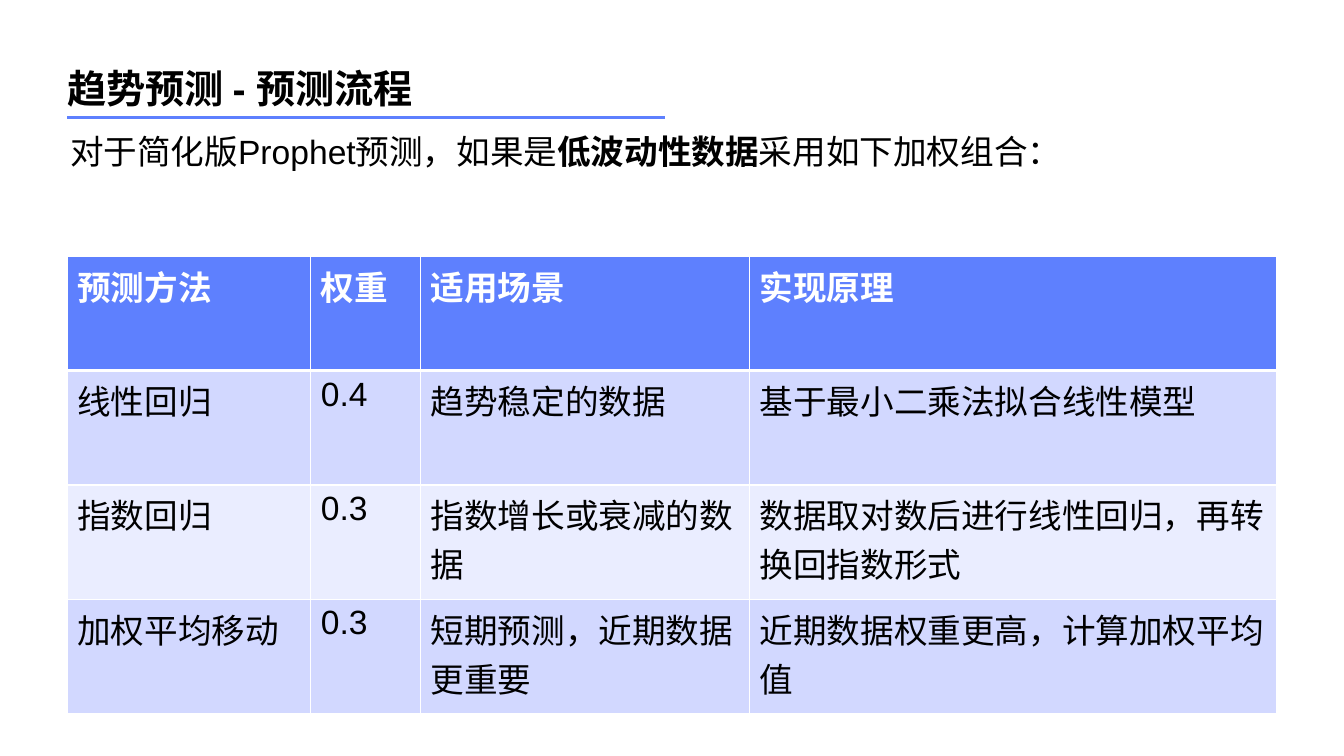
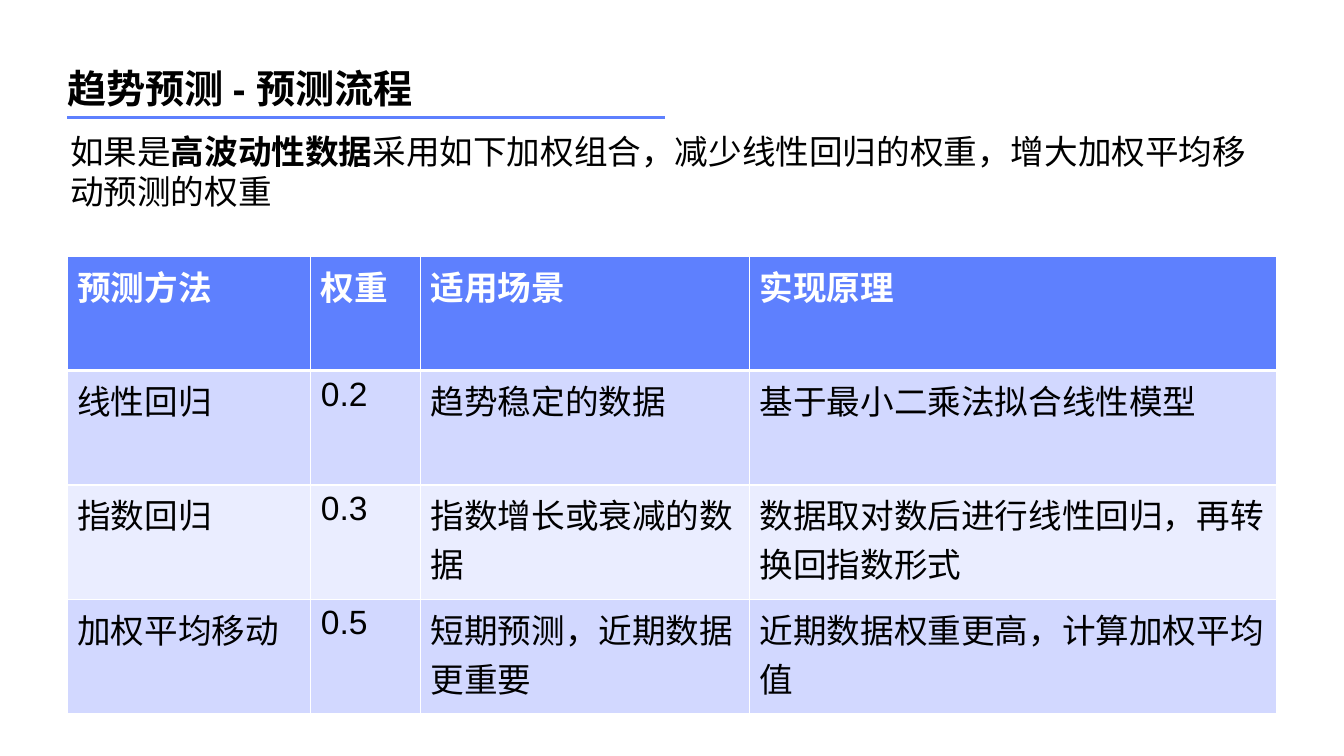
"""Two slides comparing forecast weights for low- and high-volatility data."""
from lxml.etree import SubElement
from pptx import Presentation
from pptx.dml.color import RGBColor
from pptx.enum.shapes import MSO_CONNECTOR
from pptx.enum.text import MSO_ANCHOR, PP_ALIGN
from pptx.oxml.ns import qn
from pptx.util import Pt

TITLE = "趋势预测 - 预测流程"
HEADER = ("预测方法", "权重", "适用场景", "实现原理")
METHODS = [
    ("线性回归", "趋势稳定的数据", "基于最小二乘法拟合线性模型"),
    ("指数回归", "指数增长或衰减的数据", "数据取对数后进行线性回归，再转换回指数形式"),
    ("加权平均移动", "短期预测，近期数据更重要", "近期数据权重更高，计算加权平均值"),
]
SLIDES = [
    {
        "intro": [("对于简化版Prophet预测，如果是", False), ("低波动性数据", True),
                  ("采用如下加权组合：", False)],
        "align": PP_ALIGN.JUSTIFY,
        "height": 36,
        "weights": ("0.4", "0.3", "0.3"),
    },
    {
        "intro": [("如果是", False), ("高波动性数据", True),
                  ("采用如下加权组合，减少线性回归的权重，增大加权平均移动预测的权重", False)],
        "align": PP_ALIGN.LEFT,
        "height": 65.5,
        "weights": ("0.2", "0.3", "0.5"),
    },
]

BLUE, BLACK, WHITE = "5E80FE", "000000", "FFFFFF"
BANDS = ("D2D8FF", "EAEDFF")
LEFT = 48
COLUMNS = (174, 78.5, 235, 376.5)
TABLE_TOP, ROW_HEIGHT = 183, 81.7
TITLE_FONT = {"name": "Arial", "size": Pt(28), "bold": True}
BODY_FONT = {"name": "Arial", "size": Pt(24), "bold": False}
HEADER_FONT = {**BODY_FONT, "bold": True}
NO_MARGINS = dict.fromkeys(("margin_left", "margin_top", "margin_right", "margin_bottom"), 0)


def rgb(color):
    return RGBColor.from_string(color)


def apply(target, values):
    for name, value in values.items():
        setattr(target, name, value)


def add_span(para, text, font, color):
    span = para.add_run()
    span.text = text
    apply(span.font, font)
    span.font.color.rgb = rgb(color)


def add_box(page, left, top, width, height, **frame_format):
    box = page.shapes.add_textbox(Pt(left), Pt(top), Pt(width), Pt(height))
    apply(box.text_frame, {"word_wrap": True, **frame_format})
    return box.text_frame.paragraphs[0]


def add_heading(page):
    para = add_box(page, LEFT, 42, 360, 48, vertical_anchor=MSO_ANCHOR.TOP, **NO_MARGINS)
    para.line_spacing = 1.11
    add_span(para, TITLE, TITLE_FONT, BLACK)
    rule = page.shapes.add_connector(
        MSO_CONNECTOR.STRAIGHT, Pt(LEFT), Pt(84), Pt(475), Pt(84))
    rule.line.color.rgb = rgb(BLUE)
    rule.line.width = Pt(2)
    SubElement(rule.element.spPr, qn("a:effectLst"))


def add_intro(page, content):
    para = add_box(page, 43, 90, 868.5, content["height"])
    para.alignment = content["align"]
    for text, bold in content["intro"]:
        add_span(para, text, {**BODY_FONT, "bold": bold}, BLACK)


def set_borders(cell, widths):
    properties = cell._tc.get_or_add_tcPr()
    for index, (side, width) in enumerate(widths.items()):
        line = properties.makeelement(qn(f"a:ln{side}"), {"w": str(Pt(width))})
        fill = SubElement(line, qn("a:solidFill"))
        SubElement(fill, qn("a:srgbClr"), val=WHITE)
        properties.insert(index, line)


def add_weight_table(page, weights):
    rows = [HEADER] + [(method, weight, *details)
                       for (method, *details), weight in zip(METHODS, weights)]
    table = page.shapes.add_table(
        len(rows), len(COLUMNS), Pt(LEFT), Pt(TABLE_TOP),
        Pt(sum(COLUMNS)), Pt(ROW_HEIGHT * len(rows))).table
    for column, width in zip(table.columns, COLUMNS):
        column.width = Pt(width)
    for row_index, texts in enumerate(rows):
        table.rows[row_index].height = Pt(ROW_HEIGHT)
        is_header = row_index == 0
        fill = BLUE if is_header else BANDS[(row_index - 1) % 2]
        font, color = (HEADER_FONT, WHITE) if is_header else (BODY_FONT, BLACK)
        borders = {"L": 1, "R": 1, "T": 3 if row_index == 1 else 1, "B": 3 if is_header else 1}
        for column_index, text in enumerate(texts):
            cell = table.cell(row_index, column_index)
            cell.fill.solid()
            cell.fill.fore_color.rgb = rgb(fill)
            set_borders(cell, borders)
            add_span(cell.text_frame.paragraphs[0], text, font, color)


def main():
    deck = Presentation()
    apply(deck, {"slide_width": Pt(960), "slide_height": Pt(540)})
    for content in SLIDES:
        page = deck.slides.add_slide(deck.slide_layouts[6])
        add_weight_table(page, content["weights"])
        add_heading(page)
        add_intro(page, content)
    deck.save("out.pptx")


if __name__ == "__main__":
    main()
